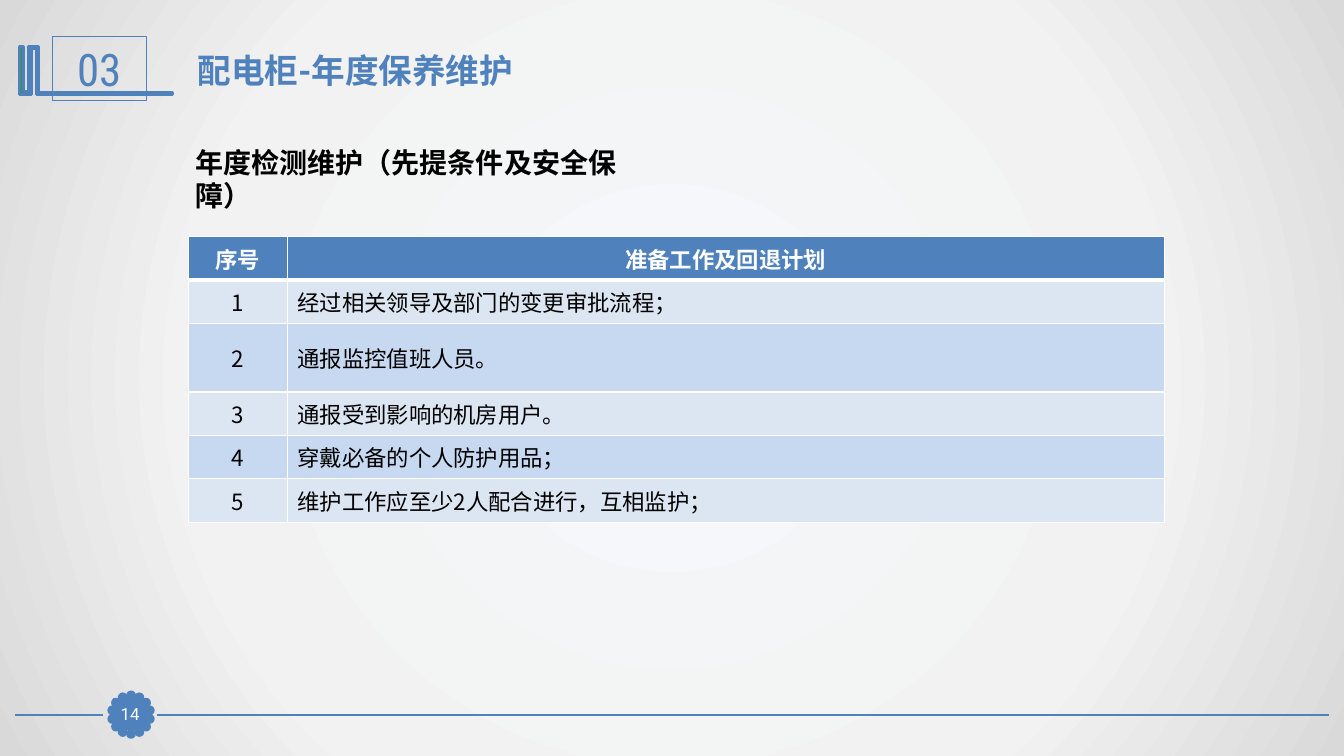
"""Build the distribution cabinet annual maintenance slide."""
from math import cos, pi, sin

from lxml.etree import SubElement
from pptx import Presentation
from pptx.dml.color import RGBColor
from pptx.enum.shapes import MSO_CONNECTOR, MSO_SHAPE
from pptx.enum.text import MSO_ANCHOR, MSO_AUTO_SIZE, PP_ALIGN
from pptx.oxml import parse_xml
from pptx.oxml.ns import nsdecls, qn
from pptx.util import Inches, Pt

BLUE = RGBColor(0x4F, 0x81, 0xBD)
GREEN = RGBColor(0x33, 0x99, 0x33)
WHITE = RGBColor(0xFF, 0xFF, 0xFF)
BLACK = RGBColor(0, 0, 0)
PALE = RGBColor(0xDC, 0xE6, 0xF2)
LIGHT = RGBColor(0xC6, 0xD9, 0xF1)

TITLE = "配电柜-年度保养维护"
SUBTITLE = "年度检测维护（先提条件及安全保障）"
SECTION = "03"
PAGE_NUMBER = "14"
HEADERS = ("序号", "准备工作及回退计划")
STEPS = (
    "经过相关领导及部门的变更审批流程；",
    "通报监控值班人员。",
    "通报受到影响的机房用户。",
    "穿戴必备的个人防护用品；",
    "维护工作应至少2人配合进行，互相监护；",
)
COLUMN_WIDTHS = (0.98, 8.7)
ROW_HEIGHTS = (0.43, 0.43, 0.68, 0.43, 0.43, 0.43)
BACKGROUND_STOPS = ((0, "F6F9FC"), (63, "F2F2F2"), (100, "D9D9D9"))
FOOTER_LINES = ((13.18, 1.56), (1.02, 0.15))
FOOTER_TOP = 7.09
BADGE_CENTER = (1.3, 7.09)
BADGE_RADIUS = 0.19
DOT_COUNT = 14
DOT_SIZE = 0.07
EMBLEM = (
    (0.37, 0.46), (0.38, 0.46), (0.38, 0.92), (1.71, 0.92), (1.71, 0.94),
    (0.36, 0.94), (0.36, 0.48), (0.31, 0.48), (0.31, 0.94), (0.19, 0.94),
    (0.19, 0.46), (0.23, 0.46), (0.23, 0.91), (0.28, 0.91), (0.28, 0.46),
)

TITLE_FORMAT = {"name": "Roboto", "size": Pt(24), "bold": True}
SUBTITLE_FORMAT = {"name": "Roboto", "size": Pt(20), "bold": True}
SECTION_FORMAT = {"name": "Roboto Condensed", "size": Pt(32)}
NUMBER_FORMAT = {"name": "Roboto", "size": Pt(12)}
HEADER_FORMAT = {"name": "Noto Sans CJK SC", "size": Pt(16), "bold": True}
BODY_FORMAT = HEADER_FORMAT | {"bold": False}


def write(frame, text, values, color, align=PP_ALIGN.LEFT):
    """Write one formatted paragraph into a text frame."""
    para = frame.paragraphs[0]
    para.alignment = align
    span = para.add_run()
    span.text = text
    for name, value in values.items():
        setattr(span.font, name, value)
    span.font.color.rgb = color
    east_asian = SubElement(span.font._element, qn("a:ea"))
    east_asian.set("typeface", values["name"])


def style(shape, fill, width):
    """Give a shape its fill and blue outline without a shadow."""
    shape.shadow.inherit = False
    if fill is None:
        shape.fill.background()
    else:
        shape.fill.solid()
        shape.fill.fore_color.rgb = fill
    shape.line.color.rgb = BLUE
    shape.line.width = Pt(width)


def add_shape(page, kind, bounds, fill, width):
    """Add a styled preset shape."""
    shape = page.shapes.add_shape(kind, *map(Inches, bounds))
    style(shape, fill, width)
    return shape


def paint_background(page):
    """Fill the page with a circular gradient."""
    page.background.fill.gradient()
    gradient = page._element.xpath(".//p:bgPr/a:gradFill")[0]
    stops = "".join(
        f'<a:gs pos="{place * 1000}"><a:srgbClr val="{color}"/></a:gs>'
        for place, color in BACKGROUND_STOPS
    )
    gradient.getparent().replace(gradient, parse_xml(
        f'<a:gradFill {nsdecls("a")} rotWithShape="1"><a:gsLst>{stops}</a:gsLst>'
        '<a:path path="circle"><a:fillToRect l="50000" t="50000" '
        'r="50000" b="50000"/></a:path></a:gradFill>'
    ))


def draw_footer(page):
    """Draw the footer rule and the scalloped page number badge."""
    for start, end in FOOTER_LINES:
        rule = page.shapes.add_connector(
            MSO_CONNECTOR.STRAIGHT, Inches(start), Inches(FOOTER_TOP),
            Inches(end), Inches(FOOTER_TOP))
        rule.line.color.rgb = BLUE
        rule.line.width = Pt(1.25)
        SubElement(rule._element.spPr, qn("a:effectLst"))
    center_x, center_y = BADGE_CENTER
    for index in range(DOT_COUNT):
        angle = 2 * pi * index / DOT_COUNT
        left = center_x + BADGE_RADIUS * sin(angle) - DOT_SIZE / 2
        top = center_y - BADGE_RADIUS * cos(angle) - DOT_SIZE / 2
        add_shape(page, MSO_SHAPE.OVAL, (left, top, DOT_SIZE, DOT_SIZE), BLUE, 2)
    badge = add_shape(page, MSO_SHAPE.RECTANGLE, (1.13, 6.93, 0.32, 0.31), BLUE, 0.75)
    frame = badge.text_frame
    for side in ("left", "top", "right", "bottom"):
        setattr(frame, f"margin_{side}", 0)
    frame.vertical_anchor = MSO_ANCHOR.MIDDLE
    write(frame, PAGE_NUMBER, NUMBER_FORMAT, WHITE, PP_ALIGN.CENTER)


def draw_heading(page):
    """Draw the emblem, section number, title and subtitle."""
    first, *others = [(Inches(x), Inches(y)) for x, y in EMBLEM]
    builder = page.shapes.build_freeform(*first)
    builder.add_line_segments(others, close=True)
    style(builder.convert_to_shape(), GREEN, 2)

    section = add_shape(page, MSO_SHAPE.RECTANGLE, (0.52, 0.36, 0.93, 0.64), None, 0.75)
    section.text_frame.vertical_anchor = MSO_ANCHOR.MIDDLE
    write(section.text_frame, SECTION, SECTION_FORMAT, BLUE, PP_ALIGN.CENTER)

    title = page.shapes.title
    title.left, title.top, title.width, title.height = map(
        Inches, (1.86, 0.44, 9.69, 0.5))
    subtitle = page.shapes.add_textbox(*map(Inches, (1.84, 1.39, 4.65, 0.44)))
    for box, text, values, color in (
        (title, TITLE, TITLE_FORMAT, BLUE),
        (subtitle, SUBTITLE, SUBTITLE_FORMAT, BLACK),
    ):
        frame = box.text_frame
        frame.word_wrap = True
        frame.auto_size = MSO_AUTO_SIZE.NONE
        frame.vertical_anchor = MSO_ANCHOR.TOP
        write(frame, text, values, color)


def add_borders(cell, top, bottom):
    """Put white borders of the given widths around a cell."""
    properties = cell._tc.get_or_add_tcPr()
    for index, (side, width) in enumerate(
            (("L", 1), ("R", 1), ("T", top), ("B", bottom))):
        properties.insert(index, parse_xml(
            f'<a:ln{side} {nsdecls("a")} w="{Pt(width)}"><a:solidFill>'
            f'<a:srgbClr val="{WHITE}"/></a:solidFill></a:ln{side}>'))


def draw_table(page):
    """Draw the numbered preparation table."""
    rows = [HEADERS] + [(str(number), step) for number, step in enumerate(STEPS, 1)]
    table = page.shapes.add_table(
        len(rows), len(HEADERS), Inches(1.87), Inches(2.35),
        Inches(sum(COLUMN_WIDTHS)), Inches(sum(ROW_HEIGHTS))).table
    for column, width in zip(table.columns, COLUMN_WIDTHS):
        column.width = Inches(width)
    for row, height in zip(table.rows, ROW_HEIGHTS):
        row.height = Inches(height)
    for row_index, texts in enumerate(rows):
        header = row_index == 0
        fill = BLUE if header else (LIGHT, PALE)[row_index % 2]
        for column_index, text in enumerate(texts):
            cell = table.cell(row_index, column_index)
            cell.vertical_anchor = MSO_ANCHOR.MIDDLE
            cell.fill.solid()
            cell.fill.fore_color.rgb = fill
            add_borders(cell, 3 if row_index == 1 else 1, 3 if header else 1)
            centered = header or column_index == 0
            write(cell.text_frame, text, HEADER_FORMAT if header else BODY_FORMAT,
                  WHITE if header else BLACK,
                  PP_ALIGN.CENTER if centered else PP_ALIGN.LEFT)


def main():
    """Build and save the deck."""
    deck = Presentation()
    deck.slide_width, deck.slide_height = Inches(13.33), Inches(7.5)
    page = deck.slides.add_slide(deck.slide_layouts[5])
    paint_background(page)
    draw_footer(page)
    draw_heading(page)
    draw_table(page)
    deck.save("out.pptx")


if __name__ == "__main__":
    main()
